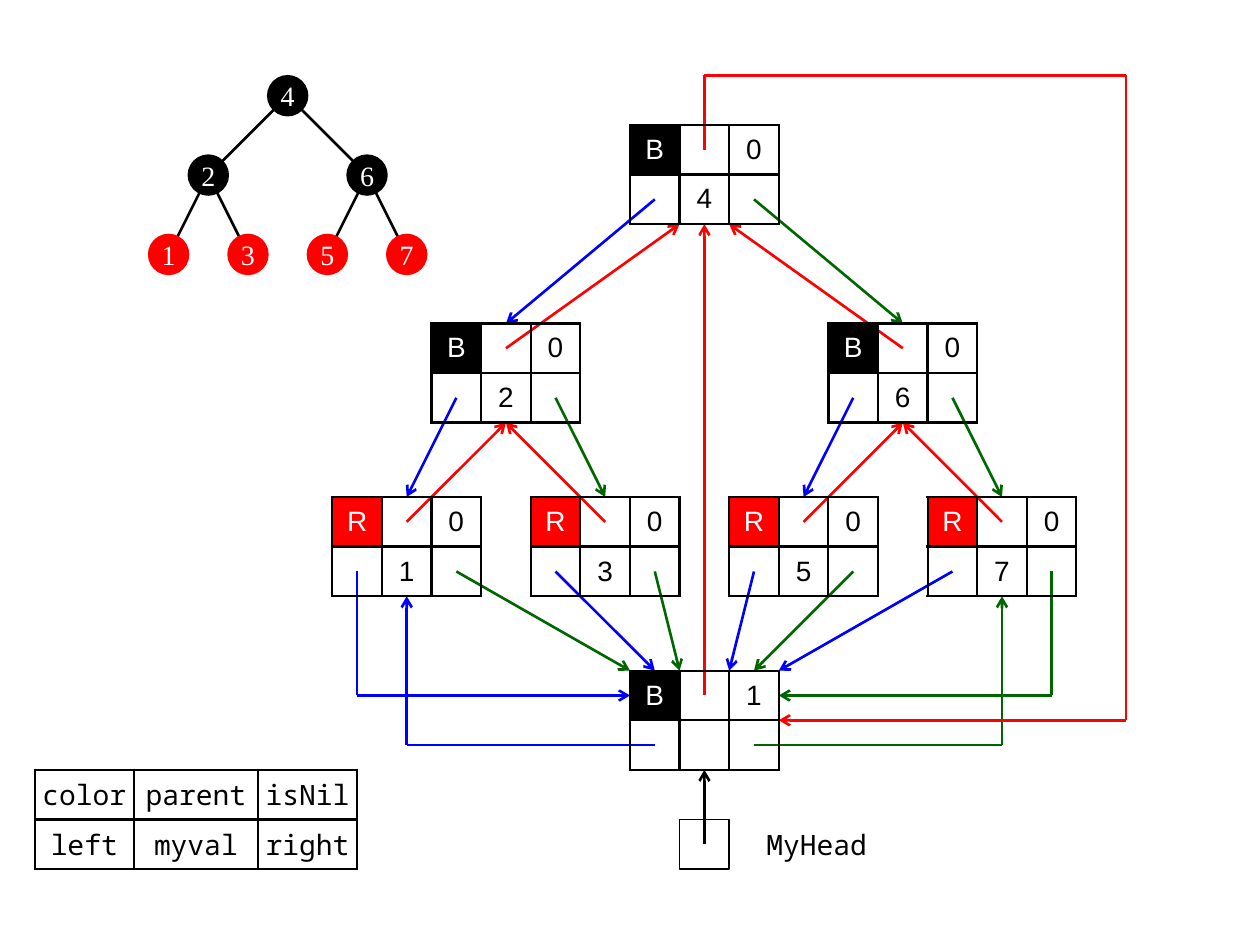
"""Build a slide showing a red-black tree and its node storage with a head node."""
import pptx
import pptx.dml.color
import pptx.enum.shapes
import pptx.enum.text
import pptx.oxml
import pptx.oxml.ns
import pptx.util

BLACK, WHITE, RED, BLUE, GREEN = "000000", "FFFFFF", "FF0000", "0000FF", "006600"
LETTER_COLOURS = {"B": BLACK, "R": RED}
MONO = "Noto Sans Mono"
CENTRE = pptx.enum.text.PP_ALIGN.CENTER

# name: (left, top, colour letter, isNil, value), on a grid of centimetres
NODES = {
    "4": (12.7, 2.52, "B", "0", "4"),
    "2": (8.7, 6.52, "B", "0", "2"),
    "6": (16.7, 6.52, "B", "0", "6"),
    "1": (6.7, 10.02, "R", "0", "1"),
    "3": (10.7, 10.02, "R", "0", "3"),
    "5": (14.7, 10.02, "R", "0", "5"),
    "7": (18.7, 10.02, "R", "0", "7"),
    "head": (12.7, 13.52, "B", "1", ""),
}
LEFT, PARENT, RIGHT, TOP, BOTTOM = (0.5, 1.5), (1.5, 0.5), (2.5, 1.5), (1.5, 0), (1.5, 2)
CHILDREN = {"4": ("2", "6"), "2": ("1", "3"), "6": ("5", "7")}
PARENT_ENDS = {"4": ((1, 2), (2, 2)), "2": (BOTTOM, BOTTOM), "6": (BOTTOM, BOTTOM)}
LEAF_LINKS = [
    ("1", RIGHT, (0, 0)), ("3", LEFT, (0.5, 0)), ("3", RIGHT, (1, 0)),
    ("5", LEFT, (2, 0)), ("5", RIGHT, (2.5, 0)), ("7", LEFT, (3, 0)),
]
ROUTES = [
    (BLUE, [("1", LEFT), ("1", (0.5, 4)), ("head", (0, 0.5))]),
    (GREEN, [("7", RIGHT), ("7", (2.5, 4)), ("head", (3, 0.5))]),
    (BLUE, [("head", LEFT), ("1", (1.5, 5)), ("1", BOTTOM)]),
    (GREEN, [("head", RIGHT), ("7", (1.5, 5)), ("7", BOTTOM)]),
    (RED, [("head", PARENT), ("4", BOTTOM)]),
    (RED, [("4", PARENT), ("4", (1.5, -1)), ("4", (10, -1)),
           ("head", (10, 1)), ("head", (3, 1))]),
    (BLACK, [("head", (1.5, 3.5)), ("head", BOTTOM)]),
]
TREE = {
    "4": (5.8, 1.93), "2": (4.2, 3.53), "6": (7.4, 3.53),
    "1": (3.4, 5.13), "3": (5, 5.13), "5": (6.6, 5.13), "7": (8.2, 5.13),
}
DIAMETER = 0.8
LEGEND = [["color", "parent", "isNil"], ["left", "myval", "right"]]


def grid(*centimetres):
    return [pptx.util.Inches(value / 2.54) for value in centimetres]


def rgb(colour):
    return pptx.dml.color.RGBColor.from_string(colour)


def set_text(frame, text, font_name, colour, alignment=None):
    paragraph = frame.paragraphs[0]
    paragraph.text = text
    paragraph.alignment = alignment
    paragraph.font.size = pptx.util.Pt(16)
    paragraph.font.name = font_name
    paragraph.font.color.rgb = rgb(colour)


def add_line(slide, start, end, colour, arrow=False):
    line = slide.shapes.add_connector(
        pptx.enum.shapes.MSO_CONNECTOR.STRAIGHT, *grid(*start, *end))
    line.line.color.rgb = rgb(colour)
    line.line.width = pptx.util.Pt(1.5)
    if arrow:
        pptx.oxml.ns.qn("a:tailEnd")
        line.line._get_or_add_ln().append(pptx.oxml.parse_xml(
            f'<a:tailEnd {pptx.oxml.ns.nsdecls("a")} type="arrow"/>'))
    line._element.spPr.append(pptx.oxml.parse_xml(
        f'<a:effectLst {pptx.oxml.ns.nsdecls("a")}/>'))


def add_route(slide, colour, stops):
    points = [(NODES[name][0] + x, NODES[name][1] + y) for name, (x, y) in stops]
    for index in range(1, len(points)):
        add_line(slide, points[index - 1], points[index], colour, index == len(points) - 1)


def add_filled_shape(slide, kind, box, fill, line):
    shape = slide.shapes.add_shape(kind, *grid(*box))
    shape.shadow.inherit = False
    shape.fill.solid()
    shape.fill.fore_color.rgb = rgb(fill)
    shape.line.color.rgb = rgb(line)
    shape.line.width = pptx.util.Pt(1)
    return shape


def add_border(cell):
    for index, side in enumerate("LRTB"):
        cell._tc.get_or_add_tcPr().insert(index, pptx.oxml.parse_xml(
            f'<a:ln{side} {pptx.oxml.ns.nsdecls("a")} w="{pptx.util.Pt(1.5)}">'
            f'<a:solidFill><a:srgbClr val="{BLACK}"/></a:solidFill></a:ln{side}>'))


def add_grid_table(slide, left, top, widths, rows, font_name, margins=None):
    frame = slide.shapes.add_table(
        len(rows), len(widths), *grid(left, top, sum(widths), len(rows)))
    table = frame.table
    table.first_row = table.horz_banding = False
    for column, width in zip(table.columns, grid(*widths)):
        column.width = width
    for row, texts in zip(table.rows, rows):
        row.height = grid(1)[0]
        for cell, text in zip(row.cells, texts):
            fill = LETTER_COLOURS.get(text)
            if fill:
                cell.fill.solid()
                cell.fill.fore_color.rgb = rgb(fill)
            else:
                cell.fill.background()
            cell.vertical_anchor = pptx.enum.text.MSO_ANCHOR.MIDDLE
            if margins is not None:
                cell.margin_left = cell.margin_right = margins
                cell.margin_top = cell.margin_bottom = margins
            set_text(cell.text_frame, text, font_name, WHITE if fill else BLACK, CENTRE)
            add_border(cell)


def add_storage(slide):
    left, top = NODES["head"][:2]
    add_filled_shape(slide, pptx.enum.shapes.MSO_SHAPE.RECTANGLE,
                     (left + 1, top + 3, 1, 1), WHITE, BLACK)
    label = slide.shapes.add_textbox(*grid(left + 2.5, top + 3, 3, 1)).text_frame
    label.word_wrap = True
    label.vertical_anchor = pptx.enum.text.MSO_ANCHOR.MIDDLE
    set_text(label, "MyHead", MONO, BLACK)
    for parent, children in CHILDREN.items():
        for child, field, colour, end in zip(
                children, (LEFT, RIGHT), (BLUE, GREEN), PARENT_ENDS[parent]):
            add_route(slide, colour, [(parent, field), (child, TOP)])
            add_route(slide, RED, [(child, PARENT), (parent, end)])
    for leaf, field, end in LEAF_LINKS:
        add_route(slide, BLUE if field == LEFT else GREEN, [(leaf, field), ("head", end)])
    for colour, stops in ROUTES:
        add_route(slide, colour, stops)
    for left, top, letter, is_nil, value in NODES.values():
        add_grid_table(slide, left, top, [1, 1, 1],
                       [[letter, "", is_nil], ["", value, ""]], "Arial")


def add_tree(slide):
    for parent, children in CHILDREN.items():
        for child in children:
            add_line(slide, TREE[parent], TREE[child], BLACK)
    for name, (x, y) in TREE.items():
        colour = LETTER_COLOURS[NODES[name][2]]
        circle = add_filled_shape(
            slide, pptx.enum.shapes.MSO_SHAPE.OVAL,
            (x - DIAMETER / 2, y - DIAMETER / 2, DIAMETER, DIAMETER), colour, colour)
        frame = circle.text_frame
        frame.margin_left = frame.margin_right = frame.margin_top = frame.margin_bottom = 0
        frame.vertical_anchor = pptx.enum.text.MSO_ANCHOR.MIDDLE
        set_text(frame, name, "Times New Roman", WHITE, CENTRE)


def main():
    presentation = pptx.Presentation()
    presentation.slide_width = pptx.util.Inches(10)
    presentation.slide_height = pptx.util.Inches(7.5)
    slide = presentation.slides.add_slide(presentation.slide_layouts[6])
    add_storage(slide)
    add_tree(slide)
    add_grid_table(slide, 0.7, 15.52, [2, 2.5, 2], LEGEND, MONO, margins=0)
    presentation.save("out.pptx")


if __name__ == "__main__":
    main()
